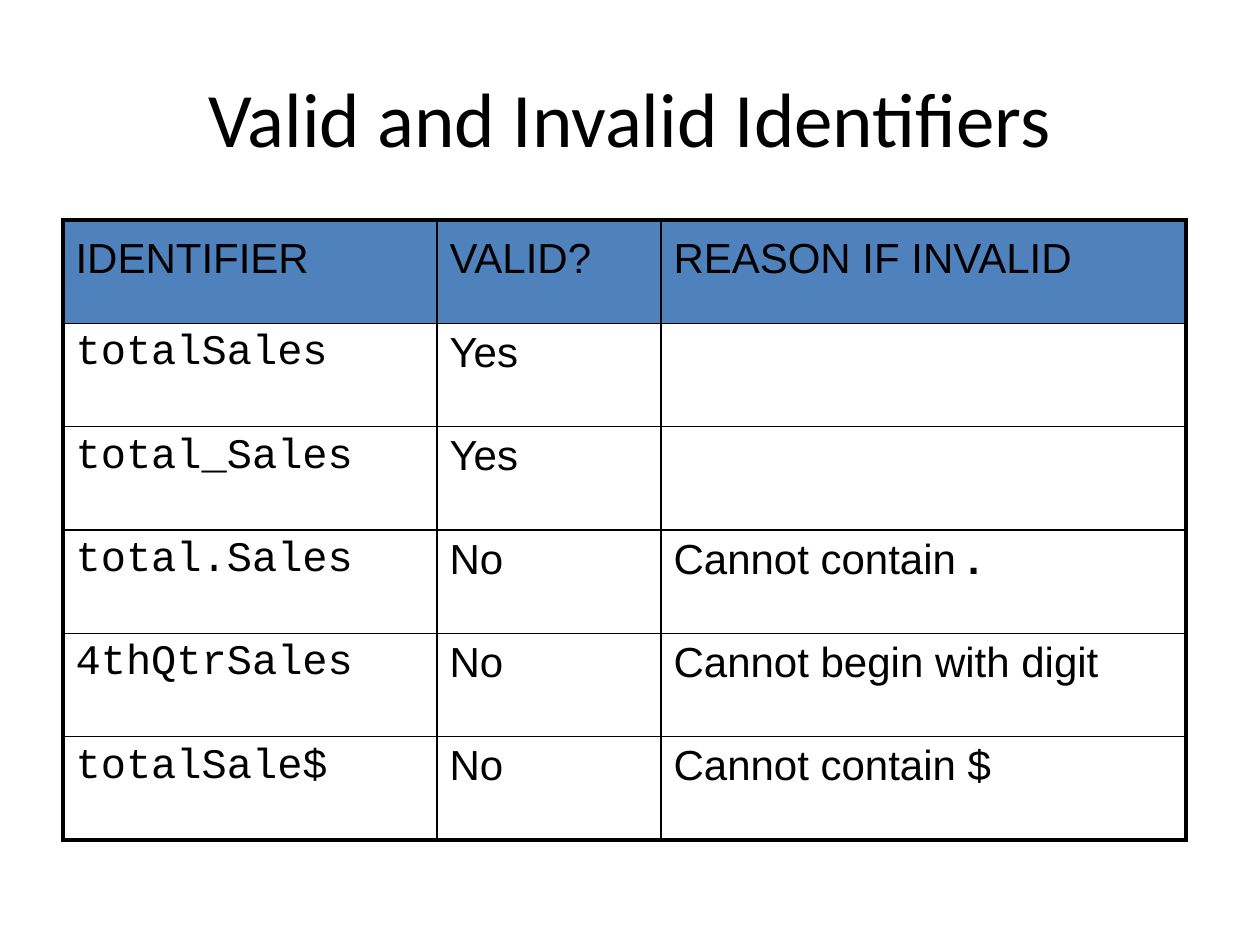
from lxml.etree import SubElement
from pptx import Presentation
from pptx.dml.color import RGBColor
from pptx.enum.text import MSO_ANCHOR as Anchor, PP_ALIGN as Align
from pptx.oxml.ns import qn
from pptx.util import Pt

TITLE = "Valid and Invalid Identifiers"
HEADINGS = ("IDENTIFIER", "VALID?", "REASON IF INVALID")
# Each cell is plain text followed by an optional bold ending.
IDENTIFIERS = [
    (("totalSales",), ("Yes",), ()),
    (("total_Sales",), ("Yes",), ()),
    (("total.Sales",), ("No",), ("Cannot contain ", ".")),
    (("4thQtrSales",), ("No",), ("Cannot begin with digit",)),
    (("totalSale$",), ("No",), ("Cannot contain $",)),
]
COLORS = {"ink": "000000", "heading": "4F81BD", "page": "FFFFFF"}
SLIDE_SIZE = (1260, 945)
TITLE_BOX = (63, 38, 1134, 157)
TABLE_LEFT, TABLE_TOP, TABLE_HEIGHT = 63, 220, 620
COLUMN_WIDTHS = (374, 224, 525)
OUTER_LINE, INNER_LINE = 2.25, 1
EMU_PER_PIXEL = 914400 / 126


def px(length):
    """Turn pixels into EMU."""
    return round(length * EMU_PER_PIXEL)


def color(name):
    """Look up a named colour."""
    return RGBColor.from_string(COLORS[name])


def style(paragraph, face, size):
    """Set the font of a whole paragraph."""
    font = paragraph.font
    font.name, font.size = face, Pt(size)
    font.color.rgb = color("ink")


def add_borders(cell, outer_sides):
    """Draw four cell borders, thick on the outer edges of the table."""
    properties = cell._tc.get_or_add_tcPr()
    for position, side in enumerate("LRTB"):
        width = OUTER_LINE if side in outer_sides else INNER_LINE
        line = SubElement(properties, qn(f"a:ln{side}"), w=str(Pt(width)))
        fill = SubElement(line, qn("a:solidFill"))
        SubElement(fill, qn("a:srgbClr"), val=COLORS["ink"])
        properties.insert(position, line)


def add_title(slide):
    """Add the centred title."""
    frame = slide.shapes.add_textbox(*map(px, TITLE_BOX)).text_frame
    frame.word_wrap = True
    frame.vertical_anchor = Anchor.MIDDLE
    title = frame.paragraphs[0]
    title.text = TITLE
    title.alignment = Align.CENTER
    style(title, "Calibri", 44)


def add_identifier_table(slide):
    """Add the table of identifiers with its heading row."""
    rows = [[(heading,) for heading in HEADINGS], *IDENTIFIERS]
    last_row, last_column = len(rows) - 1, len(HEADINGS) - 1
    table = slide.shapes.add_table(
        len(rows), len(HEADINGS), px(TABLE_LEFT), px(TABLE_TOP),
        px(sum(COLUMN_WIDTHS)), px(TABLE_HEIGHT)).table
    table.first_row = table.horz_banding = False
    for column, width in zip(table.columns, COLUMN_WIDTHS):
        column.width = px(width)
    for r, row in enumerate(rows):
        for c, parts in enumerate(row):
            cell = table.cell(r, c)
            entry = cell.text_frame.paragraphs[0]
            for index, part in enumerate(parts):
                run = entry.add_run()
                run.text = part
                if index:
                    run.font.bold = True
            style(entry, "Courier New" if r and c == 0 else "Arial", 24)
            if r:
                cell.fill.background()
            else:
                entry.line_spacing = 1.2
                cell.fill.solid()
                cell.fill.fore_color.rgb = color("heading")
            edges = {"L": c == 0, "R": c == last_column,
                     "T": r == 0, "B": r == last_row}
            add_borders(cell, [side for side in edges if edges[side]])


deck = Presentation()
deck.slide_width, deck.slide_height = map(px, SLIDE_SIZE)
slide = deck.slides.add_slide(deck.slide_layouts[6])
slide.background.fill.solid()
slide.background.fill.fore_color.rgb = color("page")
add_title(slide)
add_identifier_table(slide)
deck.save("out.pptx")
